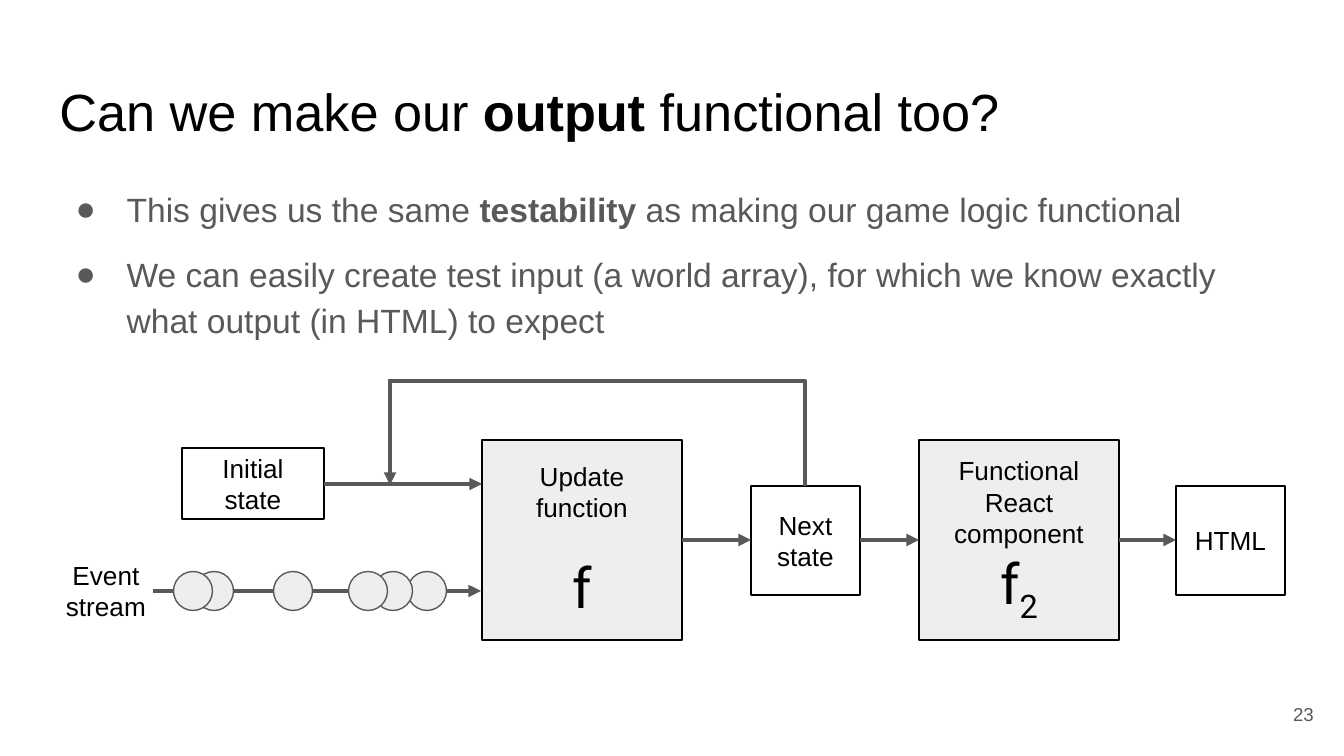
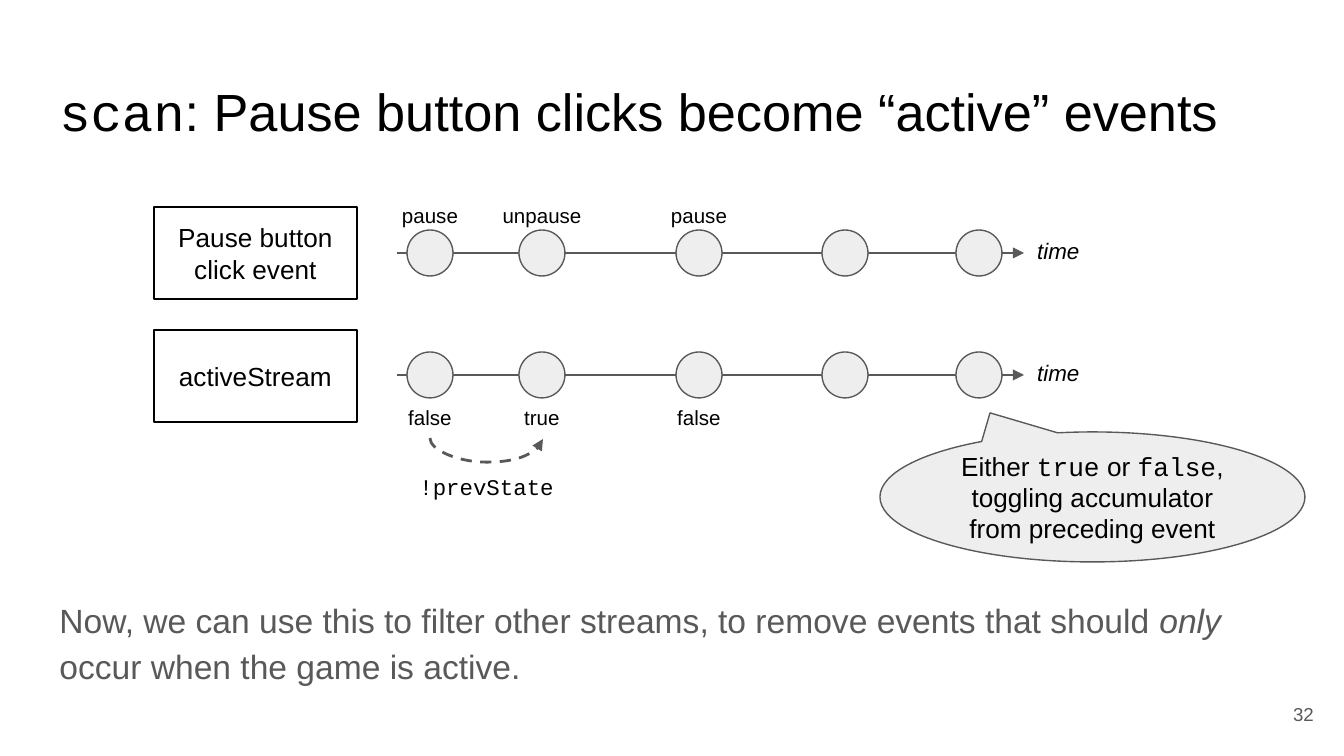
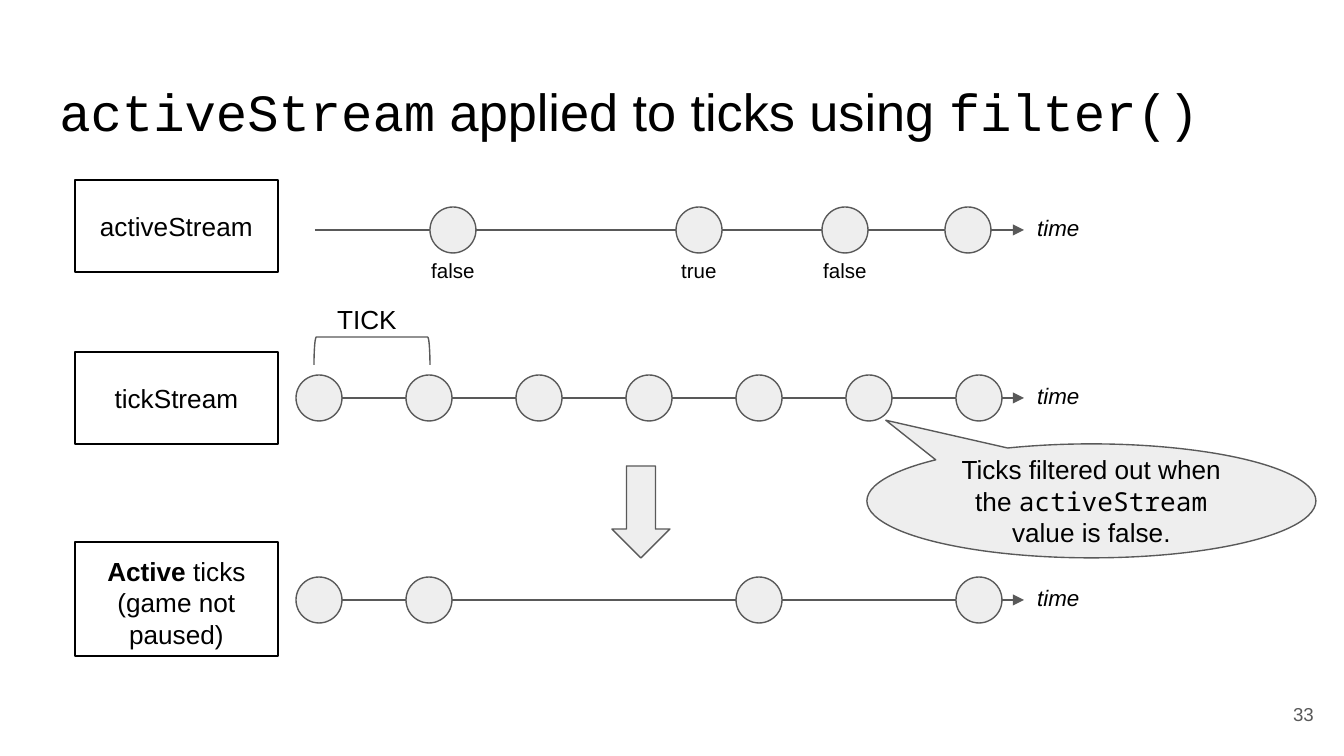
from lxml import etree
from pptx import Presentation
from pptx import util as u
from pptx.dml.color import RGBColor
from pptx.enum import dml, shapes, text
from pptx.oxml.ns import qn

SCALE = 914400 / 134.4
COLORS = {"ink": "000000", "gray": "595959", "node": "EEEEEE"}
SHAPE = shapes.MSO_SHAPE
CENTER, LEFT, RIGHT = text.PP_ALIGN.CENTER, text.PP_ALIGN.LEFT, text.PP_ALIGN.RIGHT
TOP, MIDDLE = text.MSO_ANCHOR.TOP, text.MSO_ANCHOR.MIDDLE
STYLES = {
    "plain": {},
    "bold": {"bold": True},
    "italic": {"italic": True},
    "code": {"name": "Courier New"},
    "mono": {"name": "Noto Sans Mono"},
    "symbol": {"name": "Roboto", "size": u.Pt(30)},
    "subscript": {"name": "Roboto", "size": u.Pt(30)},
}

TITLE_AREA = (46, 66, 1252, 85)
NUMBER_AREA = (1246, 685, 81, 58)
NODE_SIZE, EVENT_SIZE = 46, 39
TIME_END = 1024

OUTPUT = {
    "number": "23",
    "title": ["Can we make our ", ("output", "bold"), " functional too?"],
    "body_area": (46, 169, 1252, 503),
    "bullets": [
        ["This gives us the same ", ("testability", "bold"),
         " as making our game logic functional"],
        ["We can easily create test input (a world array), for which we know exactly "
         "what output (in HTML) to expect"],
    ],
    "boxes": [
        ((482, 440, 200, 200), "node", [["Update function"], [("f", "symbol")]], 16),
        ((182, 448, 142, 71), None, [["Initial state"]], 0),
        ((751, 486, 109, 109), None, [["Next state"]], 0),
        ((919, 440, 200, 200), "node",
         [["Functional React component"], [("f", "symbol"), ("2", "subscript")]], 0),
        ((1176, 486, 109, 109), None, [["HTML"]], 0),
    ],
    "arrows": [
        ((682, 540), (751, 540)),
        ((390, 379), (390, 485)),
        ((324, 484), (482, 484)),
        ((153, 591), (481, 591)),
        ((860, 540), (919, 540)),
        ((1119, 540), (1176, 540)),
    ],
    "feedback": ((805, 486), (388, 381)),
    "event_label": ((46, 555, 120, 71), [["Event stream"]]),
    "events": (591, [427, 393, 368, 293, 214, 193]),
}

CLICK_NODES = [430, 542, 699, 845, 979]
TICK_NODES = [319 + 110 * i for i in range(7)]

SCAN = {
    "number": "32",
    "title": [("scan", "code"), ": Pause button clicks become “active” events"],
    "body_area": (46, 580, 1252, 120),
    "body": [["Now, we can use this to filter other streams, to remove events that should ",
              ("only", "italic"), " occur when the game is active."]],
    "line_start": 397,
    "callout": ((880, 432, 425, 130), (-0.241, -0.647),
                [["Either ", ("true", "code"), " or ", ("false", "code"),
                  ", toggling accumulator from preceding event"]]),
    "streams": [
        {"box": (154, 207, 203, 92), "name": [["Pause button click event"]], "y": 253,
         "nodes": CLICK_NODES, "labels": ["pause", "unpause", "pause"], "label_shift": -38},
        {"box": (154, 330, 203, 92), "name": [["activeStream"]], "y": 375,
         "nodes": CLICK_NODES, "labels": ["false", "true", "false"], "label_shift": 42},
    ],
    "toggle": ((430, 438), (543, 439)),
    "toggle_depth": 24,
    "toggle_label": ((398, 456, 177, 58), [[("!prevState", "code")]]),
}

FILTER = {
    "number": "33",
    "title": [("activeStream", "code"), " applied to ticks using ", ("filter()", "code")],
    "line_start": 315,
    "callout": ((867, 444, 449, 114), (-0.458, -0.708),
                [["Ticks filtered out when the ", ("activeStream", "mono"),
                  " value is false."]]),
    "streams": [
        {"box": (75, 180, 203, 92), "name": [["activeStream"]], "y": 230,
         "nodes": [453, 699, 845, 968], "labels": ["false", "true", "false"],
         "label_shift": 40},
        {"box": (75, 352, 203, 92), "name": [["tickStream"]], "y": 398,
         "nodes": TICK_NODES},
        {"box": (75, 542, 203, 114), "name": [[("Active", "bold"), " ticks"],
                                              ["(game not paused)"]],
         "y": 600, "nodes": [TICK_NODES[i] for i in (0, 1, 4, 6)], "anchor": TOP},
    ],
    "down_arrow": (612, 466, 58, 92),
    "bracket": (358, 293, 28, 116),
    "tick_label": ((324, 290, 116, 58), [["TICK"]]),
}


def emu(*lengths):
    return [u.Emu(round(length * SCALE)) for length in lengths]


def color(name):
    return RGBColor.from_string(COLORS[name])


def write(shape, paragraphs, size, ink="ink", align=CENTER, anchor=MIDDLE, spacing=None, gap=0):
    frame = shape.text_frame
    frame.word_wrap = True
    frame.auto_size = text.MSO_AUTO_SIZE.NONE
    frame.vertical_anchor = anchor
    for side in ("left", "top", "right", "bottom"):
        setattr(frame, "margin_" + side, u.Inches(0.1))
    for index, spans in enumerate(paragraphs):
        para = frame.add_paragraph() if index else frame.paragraphs[0]
        para.alignment = align
        para.line_spacing = spacing
        para.space_before = u.Pt(gap if index else 0)
        for span in spans:
            words, style = (span, "plain") if isinstance(span, str) else span
            run = para.add_run()
            run.text = words
            run.font.color.rgb = color(ink)
            settings = {"name": "Arial", "size": u.Pt(size), **STYLES[style]}
            for key, value in settings.items():
                setattr(run.font, key, value)
            if style == "subscript":
                run.font.size = u.Pt(30)
                run.font.color.rgb = color(ink)
                para.runs[-1]._r.get_or_add_rPr().set("baseline", "-25000")


def set_bullets(frame, bulleted):
    for para in frame.paragraphs:
        props = para._p.get_or_add_pPr()
        props.set("marL", str(u.Inches(0.5) if bulleted else 0))
        props.set("indent", str(-u.Inches(0.38) if bulleted else 0))
        if bulleted:
            tint = etree.SubElement(props, qn("a:buClr"))
            etree.SubElement(tint, qn("a:srgbClr")).set("val", COLORS["gray"])
            etree.SubElement(props, qn("a:buChar")).set("char", "●")
        else:
            etree.SubElement(props, qn("a:buNone"))


def place(shape, area):
    shape.left, shape.top, shape.width, shape.height = emu(*area)


def add_label(page, area, paragraphs, size, **options):
    write(page.shapes.add_textbox(*emu(*area)), paragraphs, size, **options)


def add_figure(page, kind, area, fill=None, edge="gray"):
    figure = page.shapes.add_shape(kind, *emu(*area))
    figure.shadow.inherit = False
    if fill:
        figure.fill.solid()
        figure.fill.fore_color.rgb = color(fill)
    else:
        figure.fill.background()
    figure.line.color.rgb = color(edge)
    figure.line.width = u.Pt(0.75)
    return figure


def add_box(page, area, paragraphs, fill=None, **options):
    write(add_figure(page, SHAPE.RECTANGLE, area, fill, "ink"), paragraphs, 14, **options)


def add_node(page, x, y, size):
    add_figure(page, SHAPE.OVAL, (x - size / 2, y - size / 2, size, size), "node")


def add_line(page, start, end, width, arrow=True, dashed=False,
             kind=shapes.MSO_CONNECTOR.STRAIGHT):
    line = page.shapes.add_connector(kind, *emu(*start, *end))
    line.line.color.rgb = color("gray")
    line.line.width = u.Pt(width)
    if dashed:
        line.line.dash_style = dml.MSO_LINE.DASH
    props = line.element.spPr
    if arrow:
        etree.SubElement(props.find(qn("a:ln")), qn("a:tailEnd")).set("type", "triangle")
    etree.SubElement(props, qn("a:effectLst"))
    return line


def add_turned_line(page, start, end, quarter, geometry, depth=None, **options):
    middle_x, middle_y = (start[0] + end[0]) / 2, (start[1] + end[1]) / 2
    sign = 1 if quarter == 90 else -1
    ends = [(middle_x + sign * (y - middle_y), middle_y - sign * (x - middle_x))
            for x, y in (start, end)]
    line = add_line(page, *ends, **options)
    props = line.element.spPr
    props.find(qn("a:xfrm")).set("rot", str(quarter * 60000))
    preset = props.find(qn("a:prstGeom"))
    preset.set("prst", geometry)
    if depth:
        guides = preset.find(qn("a:avLst"))
        if guides is None:
            guides = etree.SubElement(preset, qn("a:avLst"))
        guide = etree.SubElement(guides, qn("a:gd"))
        guide.set("name", "adj1")
        guide.set("fmla", f"val {depth * 100000}")


def add_page(deck, content):
    has_body = "body_area" in content
    page = deck.slides.add_slide(deck.slide_layouts[1 if has_body else 5])
    title = page.shapes.title
    place(title, TITLE_AREA)
    write(title, [content["title"]], 28, align=LEFT, anchor=TOP)
    if has_body:
        body = page.placeholders[1]
        place(body, content["body_area"])
        bulleted = "bullets" in content
        write(body, content["bullets" if bulleted else "body"], 18, ink="gray",
              align=LEFT, anchor=TOP, spacing=1.15, gap=10)
        set_bullets(body.text_frame, bulleted)
    add_label(page, NUMBER_AREA, [[content["number"]]], 10, ink="gray", align=RIGHT)
    return page


def add_streams(page, content):
    area, tip, words = content["callout"]
    callout = add_figure(page, SHAPE.OVAL_CALLOUT, area, "node")
    for index, value in enumerate(tip):
        callout.adjustments[index] = value
    write(callout, words, 14)
    for stream in content["streams"]:
        y = stream["y"]
        add_box(page, stream["box"], stream["name"], anchor=stream.get("anchor", MIDDLE))
        add_label(page, (TIME_END, y - 29, 87, 58), [[("time", "italic")]], 12,
                  align=LEFT, anchor=TOP)
        add_line(page, (content["line_start"], y), (TIME_END, y), 1.5)
        for x in stream["nodes"]:
            add_node(page, x, y, NODE_SIZE)
        for x, label in zip(stream["nodes"], stream.get("labels", [])):
            width = 30 + 13 * len(label)
            add_label(page, (x - width / 2, y + stream["label_shift"] - 23, width, 46),
                      [[label]], 11)


def build_output(deck):
    page = add_page(deck, OUTPUT)
    for area, fill, words, gap in OUTPUT["boxes"]:
        add_box(page, area, words, fill, gap=gap)
    add_turned_line(page, *OUTPUT["feedback"], 90, "bentConnector2", width=2.25,
                    arrow=False, kind=shapes.MSO_CONNECTOR.ELBOW)
    for start, end in OUTPUT["arrows"]:
        add_line(page, start, end, 2.25)
    add_label(page, *OUTPUT["event_label"], 14)
    y, centers = OUTPUT["events"]
    for x in centers:
        add_node(page, x, y, EVENT_SIZE)


def build_scan(deck):
    page = add_page(deck, SCAN)
    add_streams(page, SCAN)
    add_turned_line(page, *SCAN["toggle"], 270, "curvedConnector3", SCAN["toggle_depth"],
                    width=1.5, dashed=True, kind=shapes.MSO_CONNECTOR.CURVE)
    add_label(page, *SCAN["toggle_label"], 12, anchor=TOP, spacing=1.15)


def build_filter(deck):
    page = add_page(deck, FILTER)
    add_streams(page, FILTER)
    add_figure(page, SHAPE.DOWN_ARROW, FILTER["down_arrow"], "node")
    add_figure(page, SHAPE.LEFT_BRACKET, FILTER["bracket"]).rotation = 90
    add_label(page, *FILTER["tick_label"], 14, align=LEFT, anchor=TOP)


def main():
    deck = Presentation()
    deck.slide_width, deck.slide_height = emu(1344, 756)
    for build in (build_output, build_scan, build_filter):
        build(deck)
    deck.save("out.pptx")


if __name__ == "__main__":
    main()
